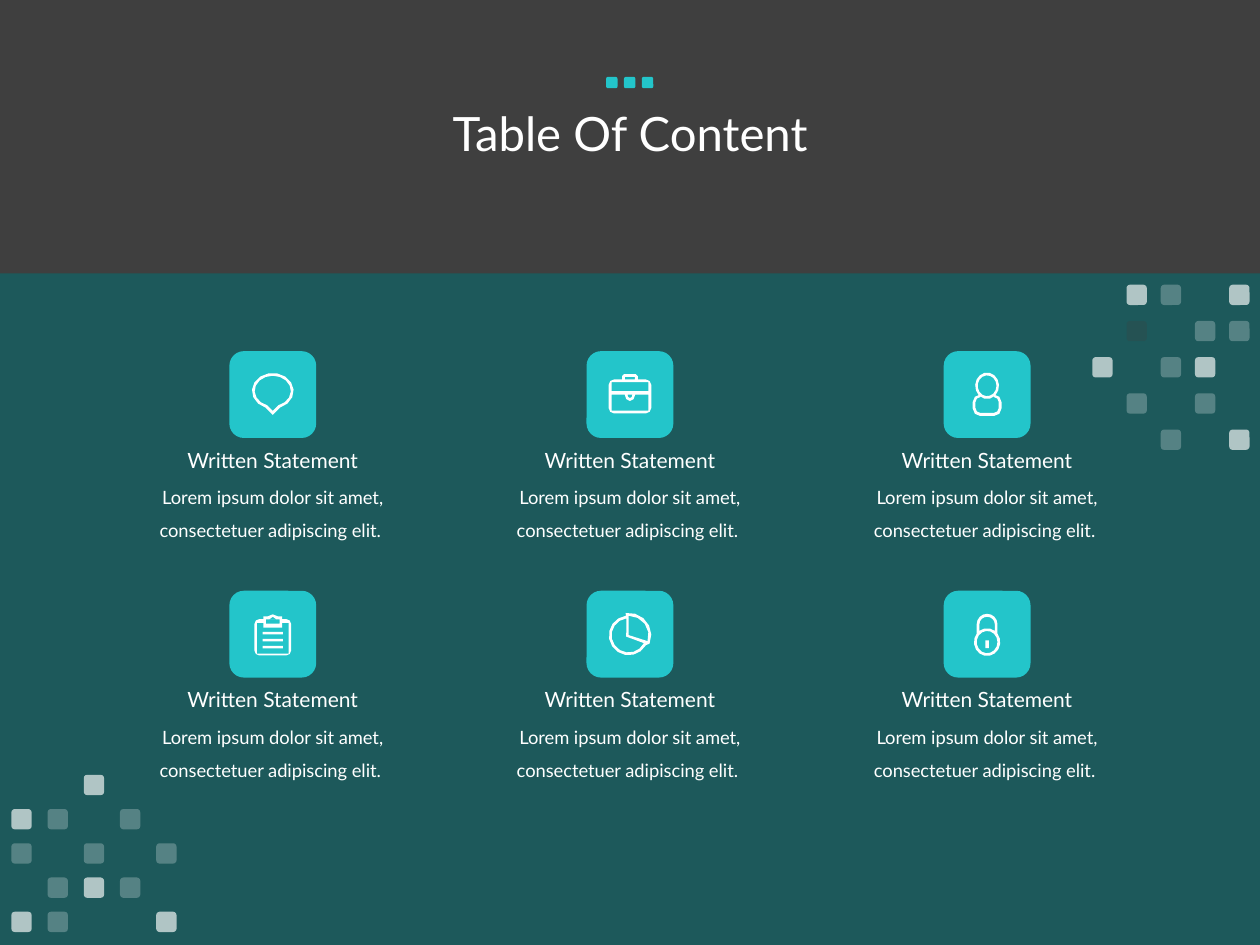
from dataclasses import dataclass
from math import cos, radians, sin

from lxml import etree
from pptx import Presentation
from pptx.dml.color import RGBColor
from pptx.enum import shapes, text
from pptx.oxml.ns import qn
from pptx.util import Cm, Pt

Point = tuple[float, float]
Contour = list[Point]


@dataclass(frozen=True)
class Theme:
    font: str = "Lato"
    dark: str = "3F3F3F"
    teal: str = "126365"
    accent: str = "23C5CA"
    white: str = "FFFFFF"
    title_size: float = 27
    heading_size: float = 12
    body_size: float = 10.5


@dataclass(frozen=True)
class Topic:
    heading: str
    body: str
    icon: list[Contour]


@dataclass(frozen=True)
class Mosaic:
    left: float
    top: float
    column_step: float
    row_step: float
    rows: list[str]


THEME = Theme()
TILE = 1.75
TEXT_WIDTH = 6.35


# Icon outlines, in millimetres from the tile centre
def arc(cx: float, cy: float, rx: float, ry: float,
        start: float = 0, end: float = 360, step: float = 24) -> Contour:
    count = max(1, round(abs(end - start) / step))
    angles = [radians(start + (end - start) * i / count) for i in range(count + 1)]
    return [(cx + rx * cos(a), cy + ry * sin(a)) for a in angles]


def box(left: float, top: float, right: float, bottom: float) -> Contour:
    return [(right, top), (right, bottom), (left, bottom), (left, top)]


def round_box(left: float, top: float, right: float, bottom: float,
              radius: float) -> Contour:
    centres = box(left + radius, top + radius, right - radius, bottom - radius)
    return [point for i, (x, y) in enumerate(centres)
            for point in arc(x, y, radius, radius, 90 * i - 90, 90 * i, 45)]


BUBBLE = [
    arc(0, -0.75, 4.2, 3.6, 110, 430) + [(0, 4.1)],
    arc(0, -0.75, 3.65, 3.05, 108, 432) + [(0, 3.3)],
]
BRIEFCASE = [
    round_box(-4.3, -3.05, 4.3, 3.8, 1.1),
    box(-3.7, -2.5, 3.7, -0.7),
    box(-3.7, 0, 3.7, 3.25),
    [(-1.6, -3.05), (-1.6, -3.7), (-1.2, -4.1), (1.2, -4.1), (1.6, -3.7), (1.6, -3.05)],
    box(-1, -3.55, 1, -3.05),
    arc(0, 0, 1.05, 1.3, 0, 180, 45),
    arc(0, 0, 0.5, 0.7, 0, 180, 45),
]
PERSON = [
    arc(0, -1.78, 2.4, 2.67, 135, 405) + round_box(-2.9, 0, 2.9, 4.3, 1.5),
    arc(0, -1.78, 1.9, 2.1),
    arc(0, -1.78, 2.4, 2.67, 130, 50) + round_box(-2.35, 0.5, 2.35, 3.7, 1),
]
CLIPBOARD = [
    round_box(-3.7, -3.05, 3.7, 4.3, 1),
    [(-1.9, -3.05), (-1.9, -3.6), (-1, -3.6), (0, -4), (1, -3.6), (1.9, -3.6), (1.9, -3.05)],
    [(-3.2, -2.3), (-1.9, -2.3), (-1.9, -1.3), (1.9, -1.3),
     (1.9, -2.3), (3.2, -2.3), (3.2, 3.9), (-3.2, 3.9)],
    [(-1.4, -3), (-0.7, -3), (0, -3.5), (0.7, -3), (1.4, -3), (1.4, -2.1), (-1.4, -2.1)],
    *[box(-2.05, y, 2.05, y + 0.5) for y in (-0.45, 0.95, 2.35)],
]
PIE = [
    arc(-0.25, 0.25, 4, 4, 30, 262) + arc(-0.3, 0.2, 4.6, 4.5, -97, 22),
    arc(-0.25, 0.25, 3.45, 3.45, 27, 262) + [(-0.75, 0.5)],
    arc(-0.25, 0.2, 4, 3.9, -90, 18) + [(-0.25, 0.2)],
]
LOCK = [
    arc(0, -2, 2.1, 2.1, 180, 360) + arc(0, 1.6, 2.65, 2.8, -38, 218),
    arc(0, -2, 1.55, 1.5, 180, 360) + arc(0, 1.6, 2.65, 2.8, -54, -126),
    arc(0, 1.6, 2.1, 2.25),
    box(-0.35, 1.25, 0.35, 2.8),
]

# Content
TOPICS = [Topic("Written Statement",
                "Lorem ipsum dolor sit amet, consectetuer adipiscing elit. ", icon)
          for icon in (BUBBLE, BRIEFCASE, PERSON, CLIPBOARD, PIE, LOCK)]
# W: bright square, w: faint square, d: dark square
SQUARES = {"W": (THEME.white, 65), "w": (THEME.white, 25), "d": (THEME.dark, 25)}
MOSAICS = [
    Mosaic(0.23, 15.62, 0.73, 0.69, ["..W..", "Ww.w.", "w.w.w", ".wWw.", "Ww..W"]),
    Mosaic(22.02, 5.74, 0.69, 0.73, [".Ww.W", ".d.ww", "W.wW.", ".w.w.", "..w.W"]),
]


def paint(shape, color: str, opacity: int = 100) -> None:
    shape.shadow.inherit = False
    shape.fill.solid()
    shape.fill.fore_color.rgb = RGBColor.from_string(color)
    shape.line.fill.background()
    if opacity < 100:
        rgb = shape.element.spPr.find(qn("a:solidFill"))[0]
        etree.SubElement(rgb, qn("a:alpha"), val=str(opacity * 1000))


def add_block(parent, left: float, top: float, width: float, height: float,
              color: str, opacity: int = 100, rounded: bool = True) -> None:
    kind = shapes.MSO_SHAPE.ROUNDED_RECTANGLE if rounded else shapes.MSO_SHAPE.RECTANGLE
    block = parent.add_shape(kind, Cm(left), Cm(top), Cm(width), Cm(height))
    paint(block, color, opacity)


def add_icon(parent, cx: float, cy: float, contours: list[Contour]) -> None:
    outlines = [[(Cm(cx + x / 10), Cm(cy + y / 10)) for x, y in contour]
                for contour in contours]
    builder = parent.build_freeform(*outlines[0][0])
    for i, outline in enumerate(outlines):
        if i:
            builder.move_to(*outline[0])
        builder.add_line_segments(outline[1:], close=True)
    paint(builder.convert_to_shape(), THEME.white)


def format_text(frame, words: str, size: float, spacing: float) -> None:
    frame.word_wrap = True
    frame.vertical_anchor = text.MSO_ANCHOR.MIDDLE
    paragraph = frame.paragraphs[0]
    paragraph.text = words
    paragraph.alignment = text.PP_ALIGN.CENTER
    paragraph.line_spacing = spacing
    paragraph.font.name = THEME.font
    paragraph.font.size = Pt(size)
    paragraph.font.color.rgb = RGBColor.from_string(THEME.white)


def add_label(parent, cx: float, top: float, height: float, words: str,
              size: float, spacing: float = 1.0) -> None:
    label = parent.add_textbox(Cm(cx - TEXT_WIDTH / 2), Cm(top), Cm(TEXT_WIDTH), Cm(height))
    format_text(label.text_frame, words, size, spacing)
    label.text_frame.auto_size = text.MSO_AUTO_SIZE.SHAPE_TO_FIT_TEXT


def add_topic(parent, topic: Topic, cx: float, top: float) -> None:
    add_block(parent, cx - TILE / 2, top, TILE, TILE, THEME.accent)
    add_icon(parent, cx, top + TILE / 2, topic.icon)
    add_label(parent, cx, top + 2.41, 1.52, topic.body, THEME.body_size, 1.5)
    add_label(parent, cx, top + 1.81, 0.76, topic.heading, THEME.heading_size)


def add_mosaic(parent, mosaic: Mosaic) -> None:
    group = parent.add_group_shape().shapes
    for r, row in enumerate(mosaic.rows):
        for c, mark in enumerate(row):
            if mark in SQUARES:
                add_block(group, mosaic.left + c * mosaic.column_step,
                          mosaic.top + r * mosaic.row_step, 0.41, 0.41, *SQUARES[mark])


def main() -> None:
    deck = Presentation()
    deck.slide_width, deck.slide_height = Cm(25.4), Cm(19.05)
    slide = deck.slides.add_slide(deck.slide_layouts[5])
    slide.background.fill.solid()
    slide.background.fill.fore_color.rgb = RGBColor.from_string(THEME.dark)

    # Title
    title = slide.shapes.title
    title.left, title.top, title.width, title.height = Cm(1.75), Cm(0.91), Cm(21.9), Cm(3.68)
    format_text(title.text_frame, "Table Of Content", THEME.title_size, 0.9)

    # Lower panel and its topics
    add_block(slide.shapes, 0, 5.51, 25.4, 13.54, THEME.teal, 75, rounded=False)
    for i, topic in enumerate(TOPICS):
        row, column = divmod(i, 3)
        add_topic(slide.shapes, topic, 5.5 + 7.2 * column, 7.08 + 4.83 * row)

    # Corner mosaics and the dots above the title
    for mosaic in MOSAICS:
        add_mosaic(slide.shapes, mosaic)
    dots = slide.shapes.add_group_shape().shapes
    for i in range(3):
        add_block(dots, 12.22 + 0.36 * i, 1.55, 0.23, 0.23, THEME.accent)

    deck.save("out.pptx")


if __name__ == "__main__":
    main()
